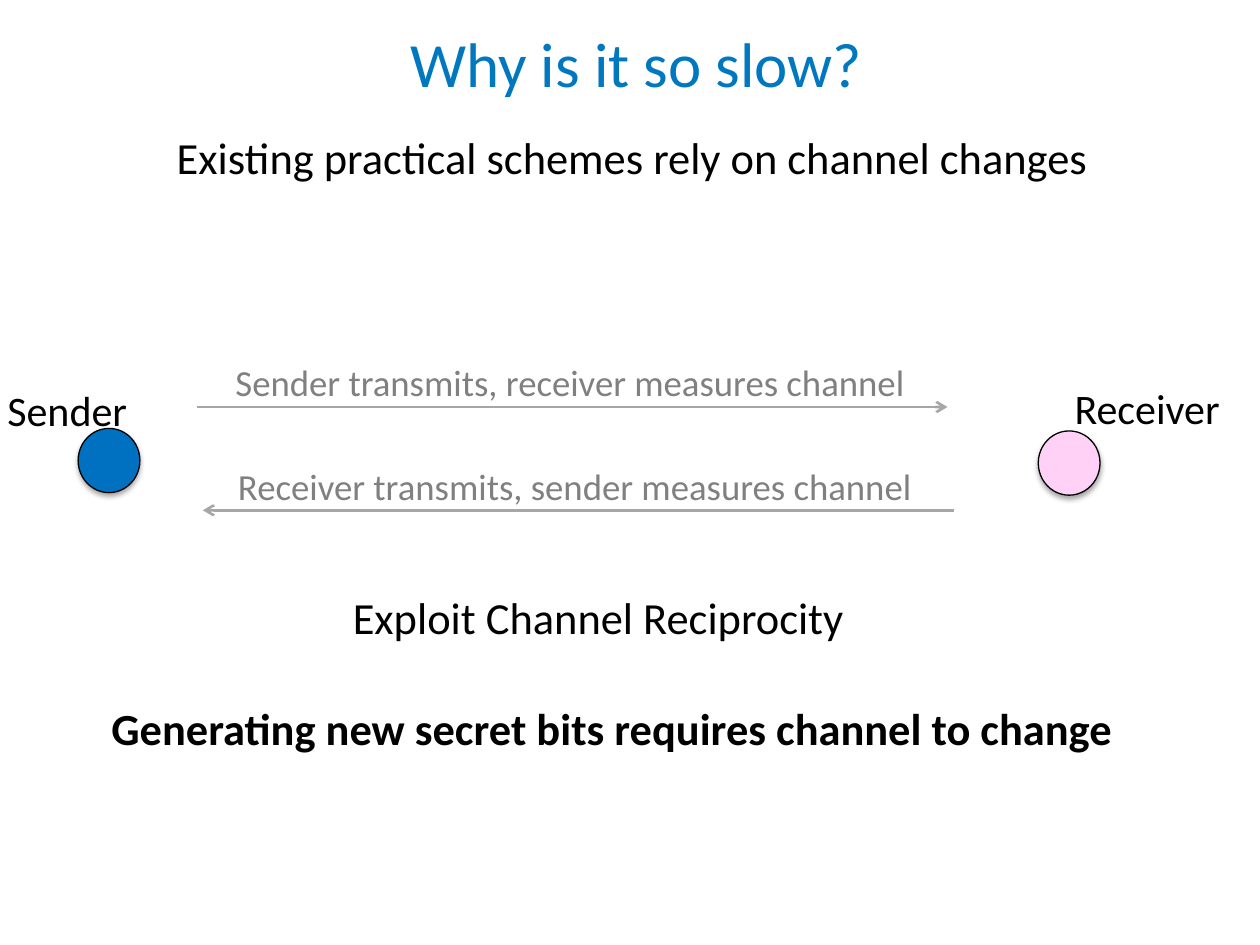
import dataclasses

import pptx
import pptx.dml.color
import pptx.enum.shapes
import pptx.enum.text
import pptx.oxml
import pptx.oxml.ns
import pptx.util

Inches = pptx.util.Inches
RGBColor = pptx.dml.color.RGBColor
Align = pptx.enum.text.PP_ALIGN
Anchor = pptx.enum.text.MSO_ANCHOR

TITLE = RGBColor(0x00, 0x78, 0xC0)
BLACK = RGBColor(0x00, 0x00, 0x00)
GRAY = RGBColor(0x80, 0x80, 0x80)
RULE = RGBColor(0xA6, 0xA6, 0xA6)
BLUE = RGBColor(0x00, 0x70, 0xC0)
PINK = RGBColor(0xFF, 0xD1, 0xF6)

NS = pptx.oxml.ns.nsdecls("a")
SHADE = (
    f'<a:effectLst {NS}><a:outerShdw blurRad="39370" dist="22860" dir="5400000" '
    'rotWithShape="0"><a:srgbClr val="000000"><a:alpha val="35000"/></a:srgbClr>'
    "</a:outerShdw></a:effectLst>"
)


@dataclasses.dataclass
class Label:
    text: str
    left: float
    top: float
    width: float
    height: float
    size: float
    color: RGBColor = BLACK
    bold: bool = False
    center: bool = False


@dataclasses.dataclass
class Node:
    left: float
    top: float
    fill: RGBColor


@dataclasses.dataclass
class Arrow:
    left: float
    y: float
    end: str


def place(shape, left: float, top: float, width: float, height: float) -> None:
    shape.left, shape.top = Inches(left), Inches(top)
    shape.width, shape.height = Inches(width), Inches(height)


def write(shape, label: Label) -> None:
    frame = shape.text_frame
    frame.word_wrap = True
    frame.auto_size = pptx.enum.text.MSO_AUTO_SIZE.NONE
    frame.vertical_anchor = Anchor.MIDDLE if label.center else Anchor.TOP
    para = frame.paragraphs[0]
    para.alignment = Align.CENTER if label.center else Align.LEFT
    run = para.add_run()
    run.text = label.text
    run.font.name = "Calibri"
    run.font.size = pptx.util.Pt(label.size)
    run.font.bold = label.bold
    run.font.color.rgb = label.color


def draw_label(slide, label: Label) -> None:
    area = (label.left, label.top, label.width, label.height)
    box = slide.shapes.add_textbox(*map(Inches, area))
    write(box, label)


def draw_node(slide, node: Node) -> None:
    area = (node.left, node.top, 0.49, 0.51)
    oval = slide.shapes.add_shape(
        pptx.enum.shapes.MSO_SHAPE.OVAL, *map(Inches, area))
    oval.fill.solid()
    oval.fill.fore_color.rgb = node.fill
    oval.line.color.rgb = BLACK
    oval.line.width = pptx.util.Pt(0.75)
    oval._element.spPr.append(pptx.oxml.parse_xml(SHADE))


def draw_arrow(slide, arrow: Arrow) -> None:
    ends = (arrow.left, arrow.y, arrow.left + 5.96, arrow.y)
    line = slide.shapes.add_connector(
        pptx.enum.shapes.MSO_CONNECTOR.STRAIGHT, *map(Inches, ends))
    line.line.color.rgb = RULE
    line.line.width = pptx.util.Pt(1.5)
    tip = pptx.oxml.parse_xml(f'<a:{arrow.end} {NS} type="arrow"/>')
    line.line._get_or_add_ln().append(tip)
    line._element.spPr.append(pptx.oxml.parse_xml(f"<a:effectLst {NS}/>"))


HEAD = Label("Why is it so slow?", 0.13, 0.1, 9.84, 0.79, 36, TITLE, center=True)
LABELS = [
    # Statements
    Label("Existing practical schemes rely on channel changes",
          0.52, 0.62, 9, 1.25, 25.4, center=True),
    Label("Exploit Channel Reciprocity", 0.25, 4.27, 9, 1.25, 25.4, center=True),
    Label("Generating new secret bits requires channel to change",
          0.36, 5.15, 9, 1.25, 25.4, bold=True, center=True),
    # Names of the two ends
    Label("Sender", -0.04, 3, 1.3, 0.5, 24),
    Label("Receiver", 8.43, 2.99, 1.73, 0.5, 24),
    # Captions of the arrows
    Label("Sender transmits, receiver measures channel",
          1.77, 2.81, 5.62, 0.45, 21, GRAY),
    Label("Receiver transmits, sender measures channel",
          1.79, 3.63, 5.62, 0.45, 21, GRAY),
]
NODES = [Node(0.62, 3.4, BLUE), Node(8.24, 3.42, PINK)]
ARROWS = [Arrow(1.56, 3.23, "tailEnd"), Arrow(1.61, 4.05, "headEnd")]


def main() -> None:
    deck = pptx.Presentation()
    deck.slide_width, deck.slide_height = Inches(10), Inches(7.5)
    slide = deck.slides.add_slide(deck.slide_layouts[5])

    # Title
    title = slide.shapes.title
    place(title, HEAD.left, HEAD.top, HEAD.width, HEAD.height)
    write(title, HEAD)

    # Diagram and text
    for node in NODES:
        draw_node(slide, node)
    for arrow in ARROWS:
        draw_arrow(slide, arrow)
    for label in LABELS:
        draw_label(slide, label)

    deck.save("out.pptx")


if __name__ == "__main__":
    main()
